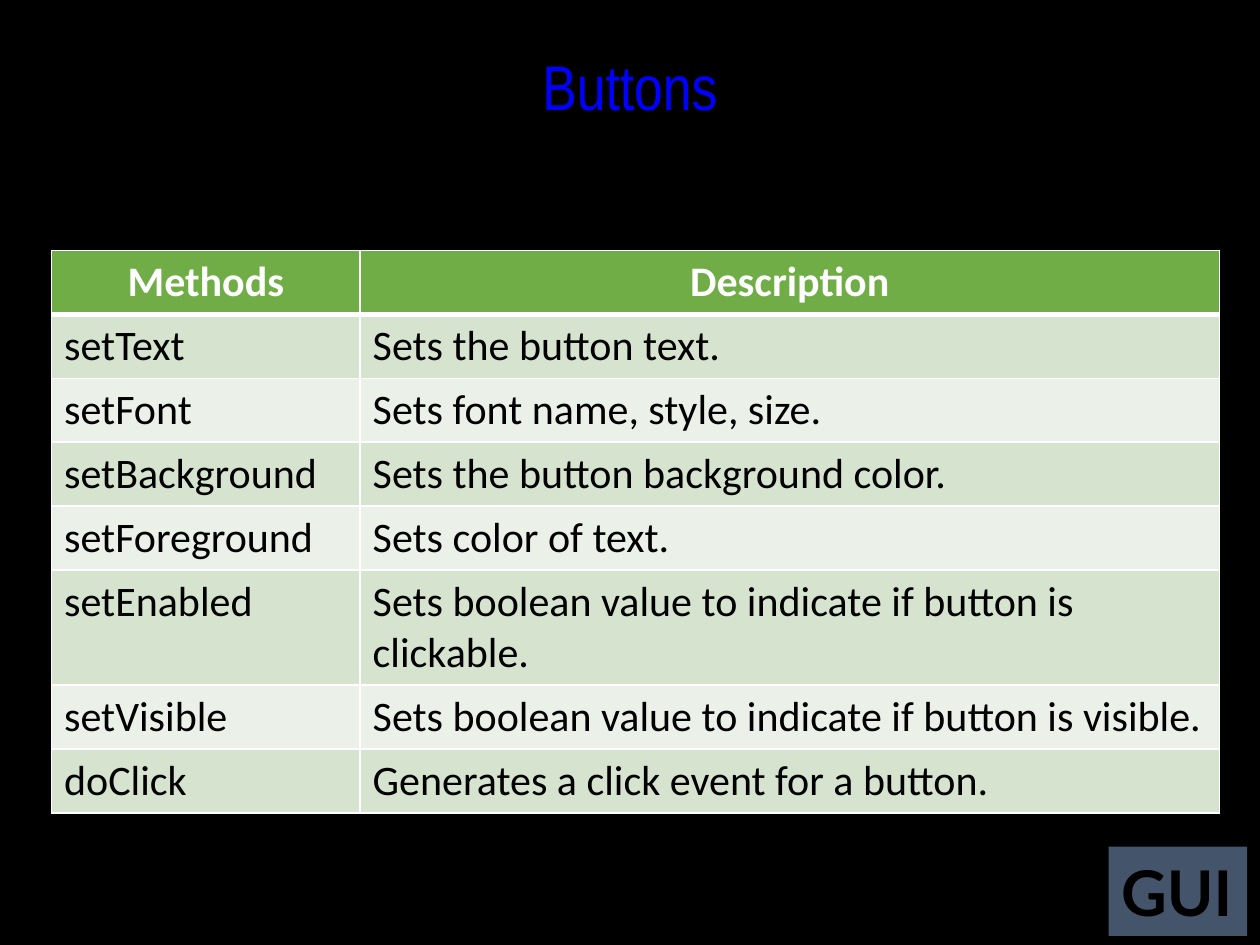
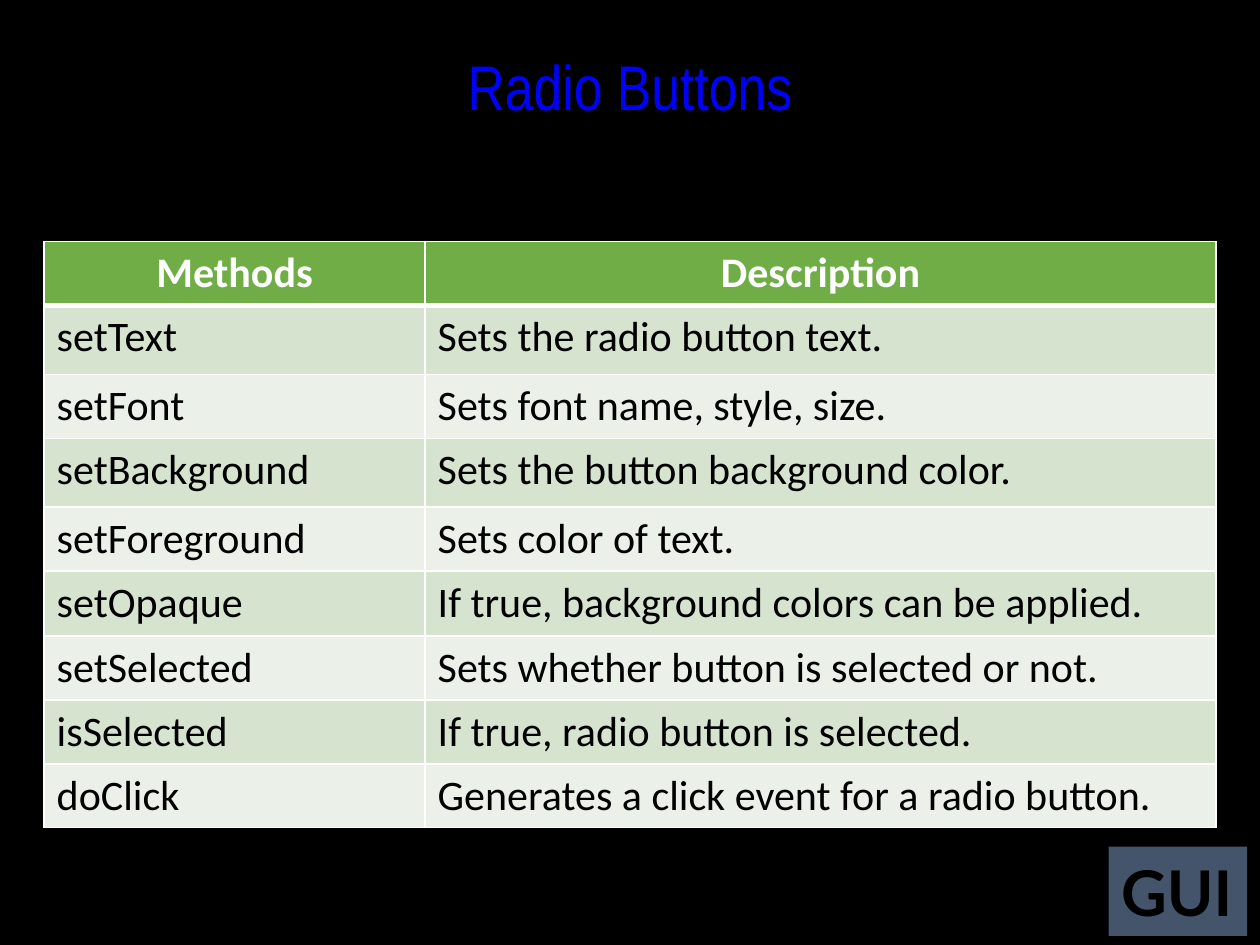
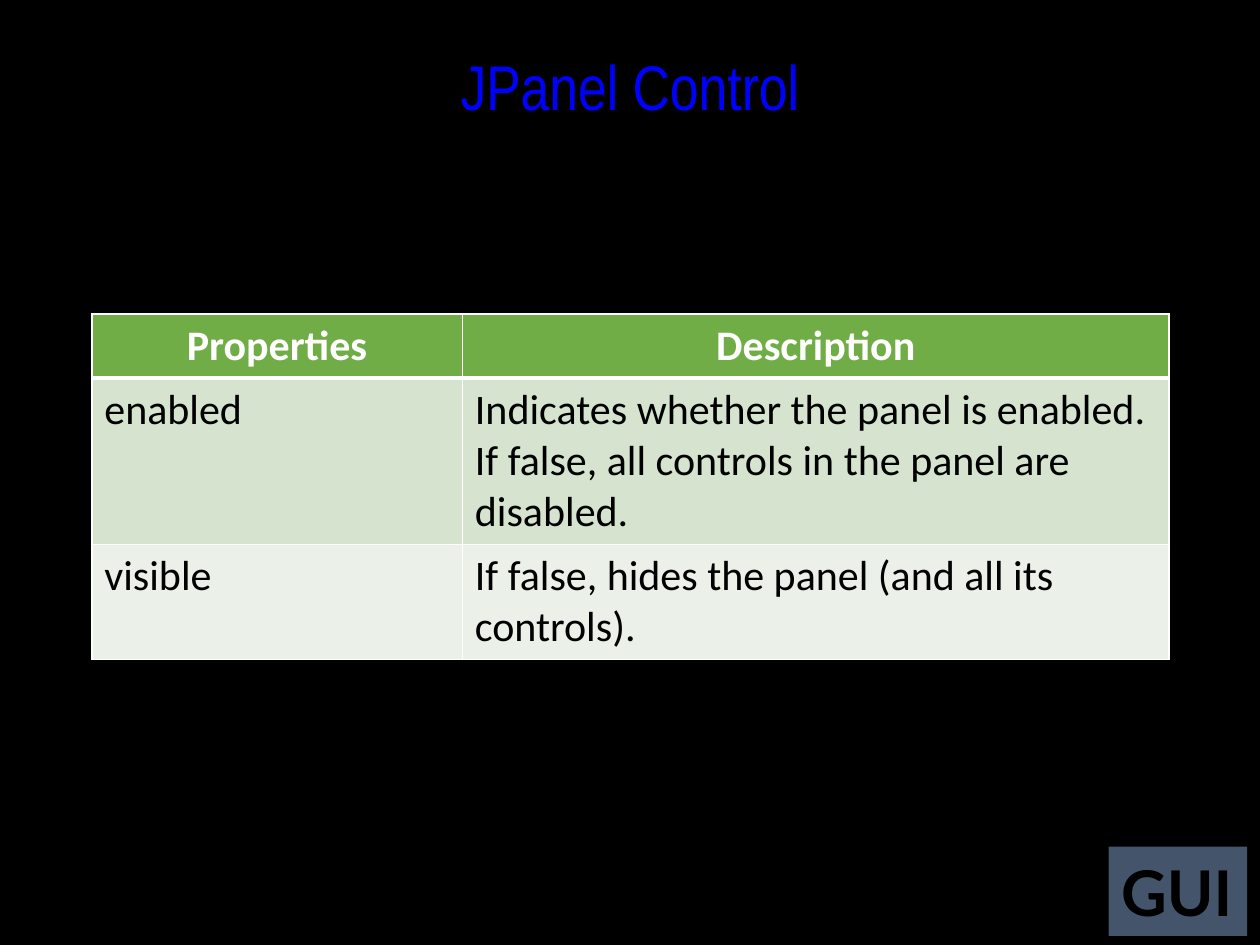
"""Builds three slides of method and property tables for GUI controls."""
from pptx import Presentation
from pptx.dml.color import RGBColor
from pptx.enum.shapes import MSO_SHAPE
from pptx.enum.text import MSO_ANCHOR, MSO_AUTO_SIZE, PP_ALIGN
from pptx.oxml import parse_xml
from pptx.oxml.ns import nsdecls
from pptx.util import Cm, Pt

BLACK, WHITE, BLUE, YELLOW = "000000", "FFFFFF", "0000FF", "FFFF00"
GREEN, SLATE = "70AD47", "44546A"
BANDS = ["EBF1E9", "D5E3CF"]
ROW_HEIGHT = 1.28
TITLE_FONT = {"name": "Arial Narrow", "size": Pt(36)}
BADGE_FONT = {"name": "Lato", "size": Pt(36), "bold": True}
HEAD_FONT = {"name": "Calibri", "size": Pt(24), "bold": True}
BODY_FONT = HEAD_FONT | {"bold": False}

SLIDES = [
    {
        "title": "Buttons",
        "at": (1.04, 5.05),
        "cols": (6.22, 17.32),
        "heights": {5: 2.29},
        "rows": [
            ("Methods", "Description"),
            ("setText", "Sets the button text."),
            ("setFont", "Sets font name, style, size."),
            ("setBackground", "Sets the button background color."),
            ("setForeground", "Sets color of text."),
            ("setEnabled", "Sets boolean value to indicate if button is clickable."),
            ("setVisible", "Sets boolean value to indicate if button is visible."),
            ("doClick", "Generates a click event for a button."),
        ],
    },
    {
        "title": "Radio Buttons",
        "at": (0.89, 4.87),
        "cols": (7.68, 15.94),
        "heights": {1: 1.39, 3: 1.39, 5: 1.31},
        "rows": [
            ("Methods", "Description"),
            ("setText", "Sets the radio button text."),
            ("setFont", "Sets font name, style, size."),
            ("setBackground", "Sets the button background color."),
            ("setForeground", "Sets color of text."),
            ("setOpaque", "If true, background colors can be applied."),
            ("setSelected", "Sets whether button is selected or not."),
            ("isSelected", "If true, radio button is selected."),
            ("doClick", "Generates a click event for a radio button."),
        ],
    },
    {
        "title": "JPanel Control",
        "at": (1.85, 6.33),
        "cols": (7.47, 14.25),
        "heights": {1: 3.3, 2: 2.29},
        "rows": [
            ("Properties", "Description"),
            ("enabled", "Indicates whether the panel is enabled. "
                        "If false, all controls in the panel are disabled."),
            ("visible", "If false, hides the panel (and all its controls)."),
        ],
    },
]


def paint(fmt, color):
    """Give a fill a solid hex colour."""
    fmt.solid()
    fmt.fore_color.rgb = RGBColor.from_string(color)


def write(tf, text, font, color, align=PP_ALIGN.LEFT):
    """Set the text of a frame as one formatted run and return the run."""
    p = tf.paragraphs[0]
    p.alignment = align
    r = p.add_run()
    r.text = text
    for key, value in font.items():
        setattr(r.font, key, value)
    paint(r.font.fill, color)
    return r


prs = Presentation()
prs.slide_width, prs.slide_height = Cm(25.4), Cm(19.05)
paint(prs.slide_master.background.fill, BLACK)
layout = prs.slide_layouts[5]

for data in SLIDES:
    s = prs.slides.add_slide(layout)

    title = s.shapes.title
    title.left, title.top, title.width, title.height = Cm(2.54), Cm(0.84), Cm(20.32), Cm(3.6)
    tf = title.text_frame
    tf.word_wrap, tf.auto_size, tf.vertical_anchor = False, MSO_AUTO_SIZE.NONE, MSO_ANCHOR.TOP
    r = write(tf, data["title"], TITLE_FONT, BLUE, PP_ALIGN.CENTER)
    r.font._element.insert(0, parse_xml(
        f'<a:ln {nsdecls("a")} w="{Pt(0.75)}"><a:solidFill><a:srgbClr val="{YELLOW}"/></a:solidFill></a:ln>'))

    rows, cols = data["rows"], data["cols"]
    heights = [data["heights"].get(i, ROW_HEIGHT) for i in range(len(rows))]
    left, top = data["at"]
    table = s.shapes.add_table(len(rows), len(cols), Cm(left), Cm(top),
                               Cm(sum(cols)), Cm(sum(heights))).table
    for column, width in zip(table.columns, cols):
        column.width = Cm(width)
    for i, row in enumerate(rows):
        table.rows[i].height = Cm(heights[i])
        for j, text in enumerate(row):
            cell = table.cell(i, j)
            if i == 0:
                write(cell.text_frame, text, HEAD_FONT, WHITE, PP_ALIGN.CENTER)
            else:
                write(cell.text_frame, text, BODY_FONT, BLACK)
            tcPr = cell._tc.get_or_add_tcPr()
            for side in "LRTB":
                width = Pt(3 if (i, side) in [(0, "B"), (1, "T")] else 1)
                tcPr.append(parse_xml(
                    f'<a:ln{side} {nsdecls("a")} w="{width}"><a:solidFill>'
                    f'<a:srgbClr val="{WHITE}"/></a:solidFill></a:ln{side}>'))
            paint(cell.fill, BANDS[i % 2] if i else GREEN)

badge = s.shapes.add_shape(MSO_SHAPE.RECTANGLE, Cm(22.35), Cm(17.07), Cm(2.79), Cm(1.8))
badge.shadow.inherit = False
badge.line.fill.background()
paint(badge.fill, SLATE)
badge.text_frame.word_wrap = False
write(badge.text_frame, "GUI", BADGE_FONT, BLACK)
badge.element.nvSpPr.cNvPr.id = 20
layout.shapes.element.append(badge.element)

prs.save("out.pptx")
